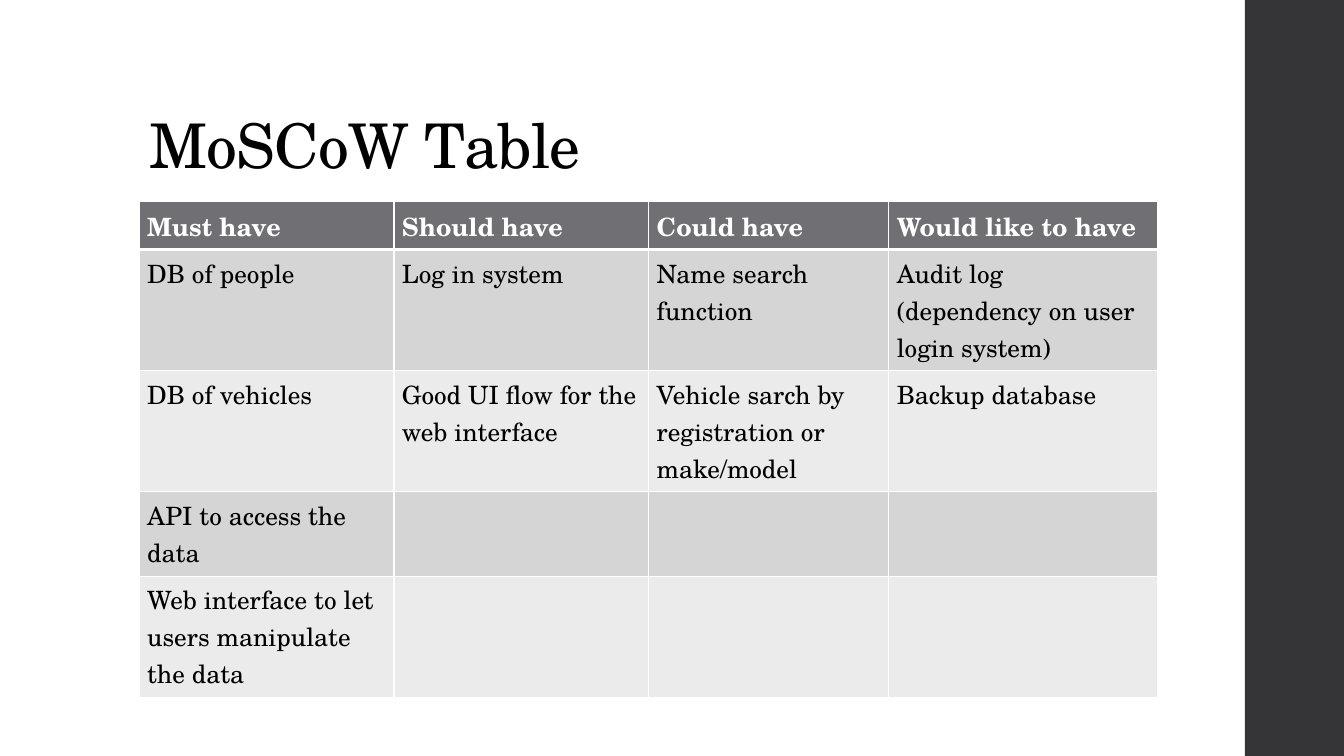
"""Build the MoSCoW table slide."""
from dataclasses import dataclass

from lxml import etree
from pptx import Presentation
from pptx.dml.color import RGBColor
from pptx.enum.shapes import MSO_SHAPE
from pptx.enum.text import MSO_ANCHOR
from pptx.oxml.ns import qn
from pptx.util import Cm, Pt

RECTANGLE = MSO_SHAPE.RECTANGLE
BOTTOM = MSO_ANCHOR.BOTTOM
TOP = MSO_ANCHOR.TOP

FONT = "TeX Gyre Schola"
BLACK = RGBColor(0x00, 0x00, 0x00)
WHITE = RGBColor(0xFF, 0xFF, 0xFF)
SIDEBAR = RGBColor(0x35, 0x35, 0x37)
HEADER = RGBColor(0x6F, 0x6F, 0x74)
BANDS = (RGBColor(0xD5, 0xD5, 0xD6), RGBColor(0xEB, 0xEB, 0xEB))

LEFT = Cm(3.51)
LINE_HEIGHT = Cm(0.92)
ROW_PADDING = Cm(0.29)
ROW_LINES = (1, 3, 3, 2, 3)


@dataclass(frozen=True)
class Column:
    heading: str
    width: float
    items: tuple[str, ...]


COLUMNS = (
    Column("Must have", 6.42, (
        "DB of people",
        "DB of vehicles",
        "API to access the data",
        "Web interface to let users manipulate the data",
    )),
    Column("Should have", 6.42, (
        "Log in system",
        "Good UI flow for the web interface",
    )),
    Column("Could have", 6.05, (
        "Name search function",
        "Vehicle sarch by registration or make/model",
    )),
    Column("Would like to have", 6.77, (
        "Audit log (dependency on user login system)",
        "Backup database",
    )),
)


def write_text(frame, text: str, *, size: float, color: RGBColor,
               bold: bool = False, spacing: float = 0,
               line_spacing: float | None = None) -> None:
    paragraph = frame.paragraphs[0]
    paragraph.line_spacing = line_spacing
    span = paragraph.add_run()
    span.text = text
    span.font.name = FONT
    span.font.size = Pt(size)
    span.font.bold = bold
    span.font.color.rgb = color
    if spacing:
        span.font._element.set("spc", str(round(spacing * 100)))


def set_borders(cell, top: float, bottom: float) -> None:
    properties = cell._tc.get_or_add_tcPr()
    widths = {"a:lnL": 1, "a:lnR": 1, "a:lnT": top, "a:lnB": bottom}
    for position, (side, width) in enumerate(widths.items()):
        line = etree.Element(qn(side), w=str(Pt(width)))
        fill = etree.SubElement(line, qn("a:solidFill"))
        etree.SubElement(fill, qn("a:srgbClr"), val=str(WHITE))
        properties.insert(position, line)


def add_sidebar(page) -> None:
    bar = page.shapes.add_shape(RECTANGLE, Cm(31.37), 0, Cm(2.54), Cm(19.05))
    bar.shadow.inherit = False
    bar.fill.solid()
    bar.fill.fore_color.rgb = SIDEBAR
    bar.line.fill.background()


def add_title(page, text: str) -> None:
    box = page.shapes.add_textbox(LEFT, Cm(1.02), Cm(26.92), Cm(3.68))
    frame = box.text_frame
    frame.word_wrap = True
    frame.vertical_anchor = BOTTOM
    write_text(frame, text, size=44, color=BLACK, spacing=-0.5, line_spacing=0.9)


def add_priorities(page, columns: tuple[Column, ...]) -> None:
    heights = [ROW_PADDING + lines * LINE_HEIGHT for lines in ROW_LINES]
    width = Cm(sum(column.width for column in columns))
    table = page.shapes.add_table(len(heights), len(columns), LEFT, Cm(5.08),
                                  width, sum(heights)).table
    for row, height in zip(table.rows, heights):
        row.height = height
    for column_index, column in enumerate(columns):
        table.columns[column_index].width = Cm(column.width)
        texts = (column.heading, *column.items)
        for row_index in range(len(heights)):
            is_header = row_index == 0
            cell = table.cell(row_index, column_index)
            cell.vertical_anchor = TOP
            cell.margin_left = cell.margin_right = Cm(0.2)
            cell.margin_top = cell.margin_bottom = Cm(0.13)
            cell.fill.solid()
            cell.fill.fore_color.rgb = (
                HEADER if is_header else BANDS[(row_index - 1) % len(BANDS)])
            set_borders(cell, top=3 if row_index == 1 else 1,
                        bottom=3 if is_header else 1)
            if row_index < len(texts):
                write_text(cell.text_frame, texts[row_index], size=18,
                           color=WHITE if is_header else BLACK, bold=is_header)


def main() -> None:
    deck = Presentation()
    deck.slide_width = Cm(33.87)
    deck.slide_height = Cm(19.05)
    page = deck.slides.add_slide(deck.slide_layouts[6])
    add_sidebar(page)
    add_title(page, "MoSCoW Table")
    add_priorities(page, COLUMNS)
    deck.save("out.pptx")


if __name__ == "__main__":
    main()
